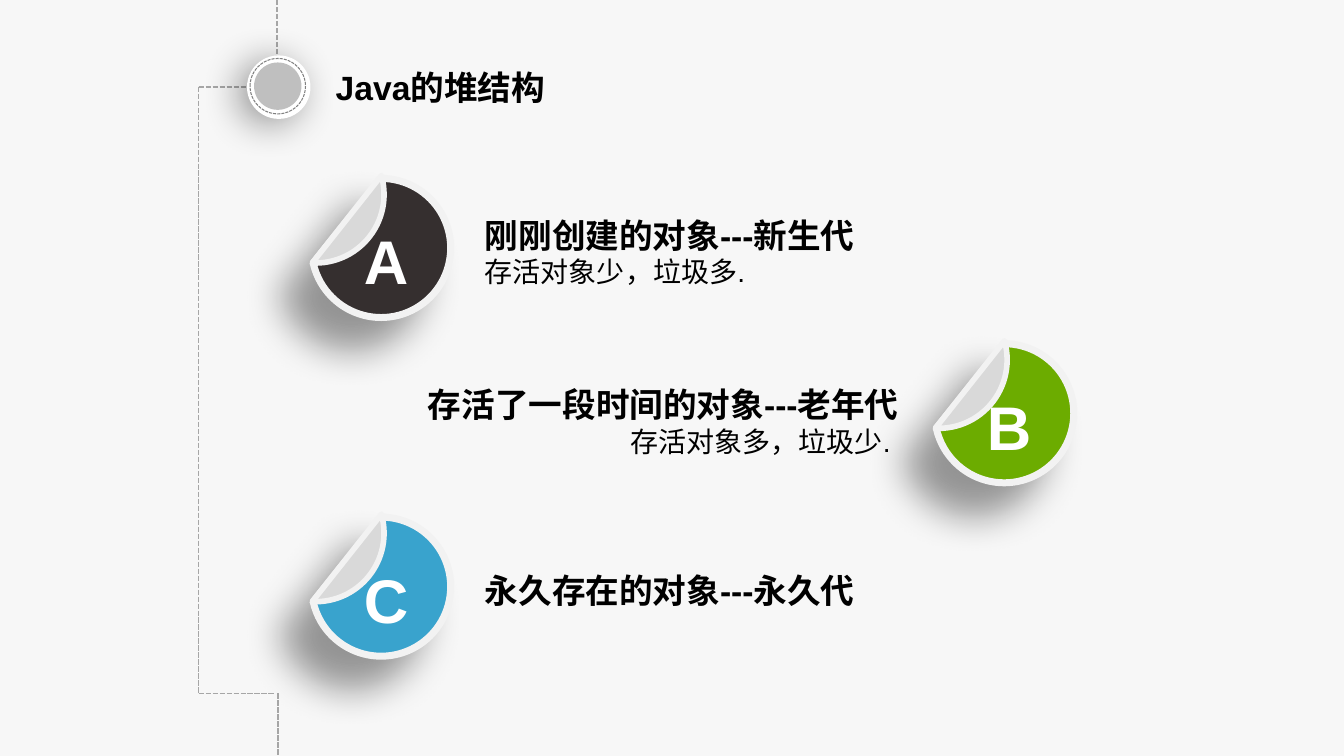
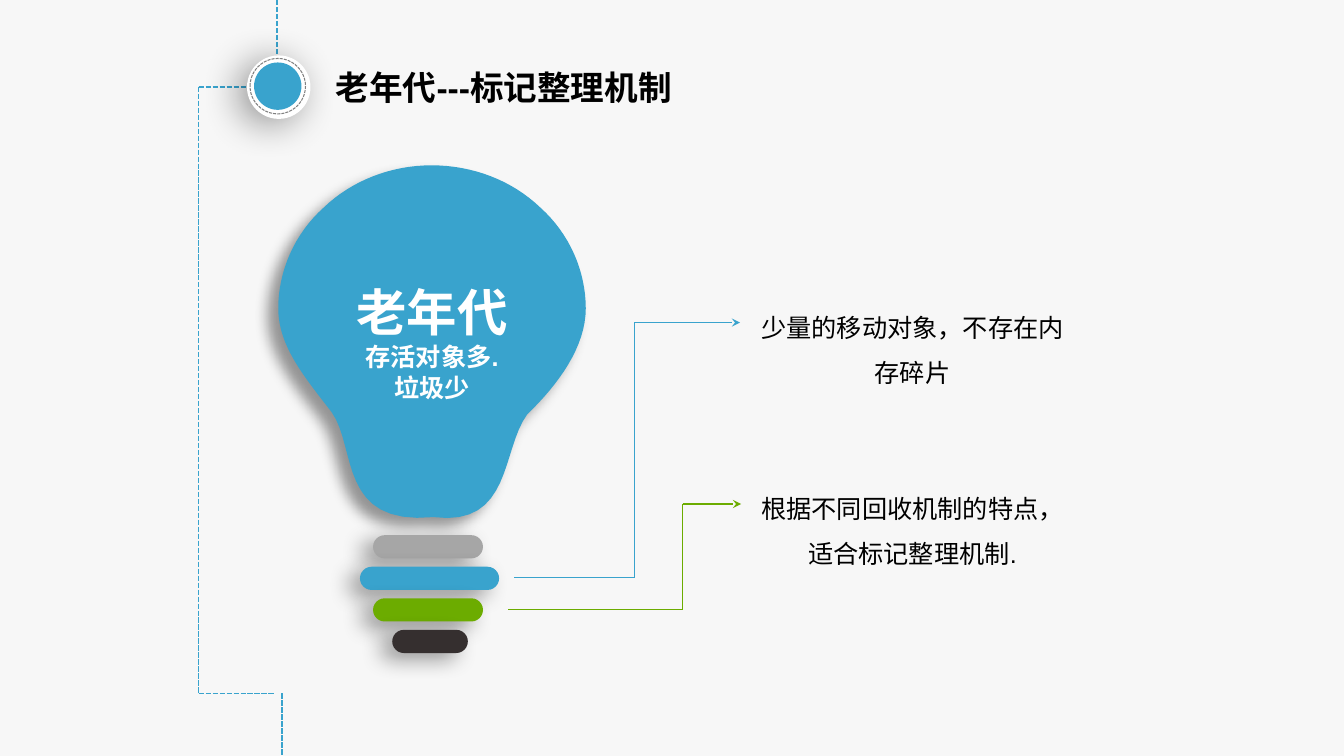
"""Build two slides on the Java heap generations and the old generation's collector."""
from itertools import pairwise

from lxml import etree
from pptx import Presentation
from pptx.dml.color import RGBColor
from pptx.enum.dml import MSO_LINE_DASH_STYLE as DASH
from pptx.enum.shapes import MSO_CONNECTOR as CONN, MSO_SHAPE as SHAPE
from pptx.enum.text import MSO_ANCHOR as ANCHOR, MSO_AUTO_SIZE as AUTOSIZE, PP_ALIGN as ALIGN
from pptx.oxml.ns import qn
from pptx.util import Inches, Pt

FONT = "Arial"
COLORS = {
    "back": "F7F7F7", "white": "FFFFFF", "black": "000000", "rim": "F2F2F2",
    "flap": "D9D9D9", "silver": "BFBFBF", "grey": "A6A6A6", "ring": "808080",
    "dark": "352F2F", "green": "6CAC00", "blue": "39A3CD",
}

HEAP = {"title": "Java的堆结构", "line": "grey", "dot": "silver", "foot_x": 2.76}
OLD = {"title": "老年代---标记整理机制", "line": "blue", "dot": "blue", "foot_x": 2.8}

GENERATIONS = [
    ("A", "dark", (3.09, 1.77), (4.71, 1.95), ALIGN.LEFT,
     ["刚刚创建的对象---新生代", "存活对象少，垃圾多."]),
    ("B", "green", (9.27, 3.41), (3.7, 3.63), ALIGN.RIGHT,
     ["存活了一段时间的对象---老年代", "存活对象多，垃圾少. "]),
    ("C", "blue", (3.09, 5.13), (4.71, 5.31), ALIGN.LEFT,
     ["永久存在的对象---永久代"]),
]

BULB_LINES = ["老年代", "存活对象多.", "垃圾少"]
BULB_START = (2.76, 3.06)
BULB_CURVES = [
    ((2.76, 2.69), (2.92, 2.32), (3.21, 2.06)),
    ((3.49, 1.79), (3.88, 1.64), (4.28, 1.64)),
    ((4.69, 1.64), (5.08, 1.79), (5.36, 2.06)),
    ((5.65, 2.32), (5.81, 2.69), (5.81, 3.06)),
    ((5.81, 3.44), (5.54, 3.81), (5.23, 4.11)),
    ((4.97, 4.46), (5.08, 5.23), (4.3, 5.13)),
    ((3.35, 5.22), (3.54, 4.44), (3.29, 4.09)),
    ((3.03, 3.75), (2.76, 3.44), (2.76, 3.06)),
]
BASE_BARS = [("grey", 3.7, 1.09), ("blue", 3.57, 1.38), ("green", 3.7, 1.09), ("dark", 3.89, 0.75)]
NOTES = [
    ("少量的移动对象，不存在内存碎片", 2.9, "blue",
     [(5.1, 5.73), (6.29, 5.73), (6.29, 3.2), (7.34, 3.2)]),
    ("根据不同回收机制的特点，适合标记整理机制.", 4.69, "green",
     [(5.04, 6.05), (6.77, 6.05), (6.77, 5), (7.35, 5)]),
]


def rgb(name):
    return RGBColor.from_string(COLORS[name])


def add_shadow(sp, blur, dist, angle):
    effects = sp._element.spPr.find(qn("a:effectLst"))
    outer = etree.SubElement(effects, qn("a:outerShdw"), blurRad=str(Pt(blur)),
                             dist=str(Pt(dist)), dir=str(angle * 60000), rotWithShape="0")
    color = etree.SubElement(outer, qn("a:srgbClr"), val=COLORS["black"])
    etree.SubElement(color, qn("a:alpha"), val="40000")


def style_shape(sp, fill=None, line=None, width=0.75, shadow=None):
    if fill:
        sp.fill.solid()
        sp.fill.fore_color.rgb = rgb(fill)
    else:
        sp.fill.background()
    if line:
        sp.line.color.rgb = rgb(line)
        sp.line.width = Pt(width)
    else:
        sp.line.fill.background()
    sp.shadow.inherit = False
    if shadow:
        add_shadow(sp, *shadow)
    return sp


def add_shape(s, kind, box, adjustments=(), **style):
    sp = s.shapes.add_shape(kind, *map(Inches, box))
    for i, value in enumerate(adjustments):
        sp.adjustments[i] = value
    return style_shape(sp, **style)


def add_line(s, start, end, color, width, dash=None, arrow=False):
    cx = s.shapes.add_connector(CONN.STRAIGHT, *map(Inches, (*start, *end)))
    cx.line.color.rgb = rgb(color)
    cx.line.width = Pt(width)
    if dash:
        cx.line.dash_style = dash
    if arrow:
        etree.SubElement(cx.line._get_or_add_ln(), qn("a:tailEnd"), type="stealth")
    etree.SubElement(cx._element.spPr, qn("a:effectLst"))


def write(tf, lines, sizes, bolds, color="black", align=ALIGN.LEFT, anchor=ANCHOR.MIDDLE):
    tf.word_wrap = True
    tf.auto_size = AUTOSIZE.NONE
    tf.vertical_anchor = anchor
    tf.text = "\n".join(lines)
    for p, size, bold in zip(tf.paragraphs, sizes, bolds):
        p.alignment = align
        for r in p.runs:
            r.font.name = FONT
            r.font.size = Pt(size)
            r.font.bold = bold
            r.font.color.rgb = rgb(color)


def add_text(s, box, *args, **options):
    tf = s.shapes.add_textbox(*map(Inches, box)).text_frame
    write(tf, *args, **options)
    return tf


def add_frame_slide(prs, title, line, dot, foot_x):
    s = prs.slides.add_slide(prs.slide_layouts[5])
    tracks = [
        ((1.97, 0.86), (2.8, 0.86)),
        ((2.75, 0), (2.75, 0.83)),
        ((1.97, 0.86), (1.97, 6.88)),
        ((1.97, 6.88), (2.73, 6.88)),
        ((foot_x, 6.88), (foot_x, 7.5)),
    ]
    for start, end in tracks:
        add_line(s, start, end, line, 1.25, DASH.SQUARE_DOT)
    add_shape(s, SHAPE.OVAL, (2.45, 0.55, 0.63, 0.63), fill="white", shadow=(28, 8, 150))
    add_shape(s, SHAPE.OVAL, (2.52, 0.62, 0.47, 0.47), fill=dot)
    ring = add_shape(s, SHAPE.OVAL, (2.48, 0.58, 0.55, 0.55), line="ring")
    ring.line.dash_style = DASH.SQUARE_DOT
    heading = s.shapes.title
    heading.left, heading.top, heading.width, heading.height = map(Inches, (3.23, 0.51, 5.39, 0.7))
    write(heading.text_frame, [title], [24], [True])
    return s


def add_badge(s, letter, color, x, y):
    disc = add_shape(s, SHAPE.CHORD, (x, y, 1.38, 1.38), (161.93, 100.55),
                     fill=color, line="rim", width=5, shadow=(28, 30, 135))
    tf = disc.text_frame
    tf.margin_right = tf.margin_bottom = 0
    write(tf, [letter], [44], [True], "white", ALIGN.CENTER, ANCHOR.BOTTOM)
    add_shape(s, SHAPE.CHORD, (x - 0.64, y - 0.52, 1.36, 1.36), (206.36, 55.67),
              fill="flap", line="rim", width=4)


def curve_points(start, curves, steps=16):
    for a, b, end in curves:
        for i in range(1, steps + 1):
            t = i / steps
            u = 1 - t
            yield tuple(Inches(u**3 * p0 + 3 * u * u * t * p1 + 3 * u * t * t * p2 + t**3 * p3)
                        for p0, p1, p2, p3 in zip(start, a, b, end))
        start = end


def add_bulb(s):
    builder = s.shapes.build_freeform(*map(Inches, BULB_START))
    builder.add_line_segments(list(curve_points(BULB_START, BULB_CURVES)), close=True)
    bulb = style_shape(builder.convert_to_shape(), fill="blue", shadow=(10, 10, 140))
    write(bulb.text_frame, BULB_LINES, [36, 18, 18], [True] * 3, "white", ALIGN.CENTER)
    for i, (color, x, width) in enumerate(BASE_BARS):
        add_shape(s, SHAPE.ROUNDED_RECTANGLE, (x, 5.31 + i * 0.313, width, 0.23), (0.5,),
                  fill=color, shadow=(16, 9, 150))


def build_heap(prs):
    s = add_frame_slide(prs, **HEAP)
    for letter, color, badge_at, text_at, align, lines in GENERATIONS:
        add_badge(s, letter, color, *badge_at)
        add_text(s, (*text_at, 5.31, 1.09), lines, [24, 20], [True, False], align=align)


def build_old(prs):
    s = add_frame_slide(prs, **OLD)
    add_bulb(s)
    for text, top, color, route in NOTES:
        tf = add_text(s, (7.37, top, 3.36, 1.01), [text], [18], [False],
                      align=ALIGN.CENTER, anchor=ANCHOR.TOP)
        tf.paragraphs[0].line_spacing = 1.5
        tf.paragraphs[0].space_after = Pt(6)
        for start, end in pairwise(route):
            add_line(s, start, end, color, 0.75, arrow=end == route[-1])


def main():
    prs = Presentation()
    prs.slide_width, prs.slide_height = Inches(13.33), Inches(7.5)
    fill = prs.slide_master.background.fill
    fill.solid()
    fill.fore_color.rgb = rgb("back")
    build_heap(prs)
    build_old(prs)
    prs.save("out.pptx")


if __name__ == "__main__":
    main()
